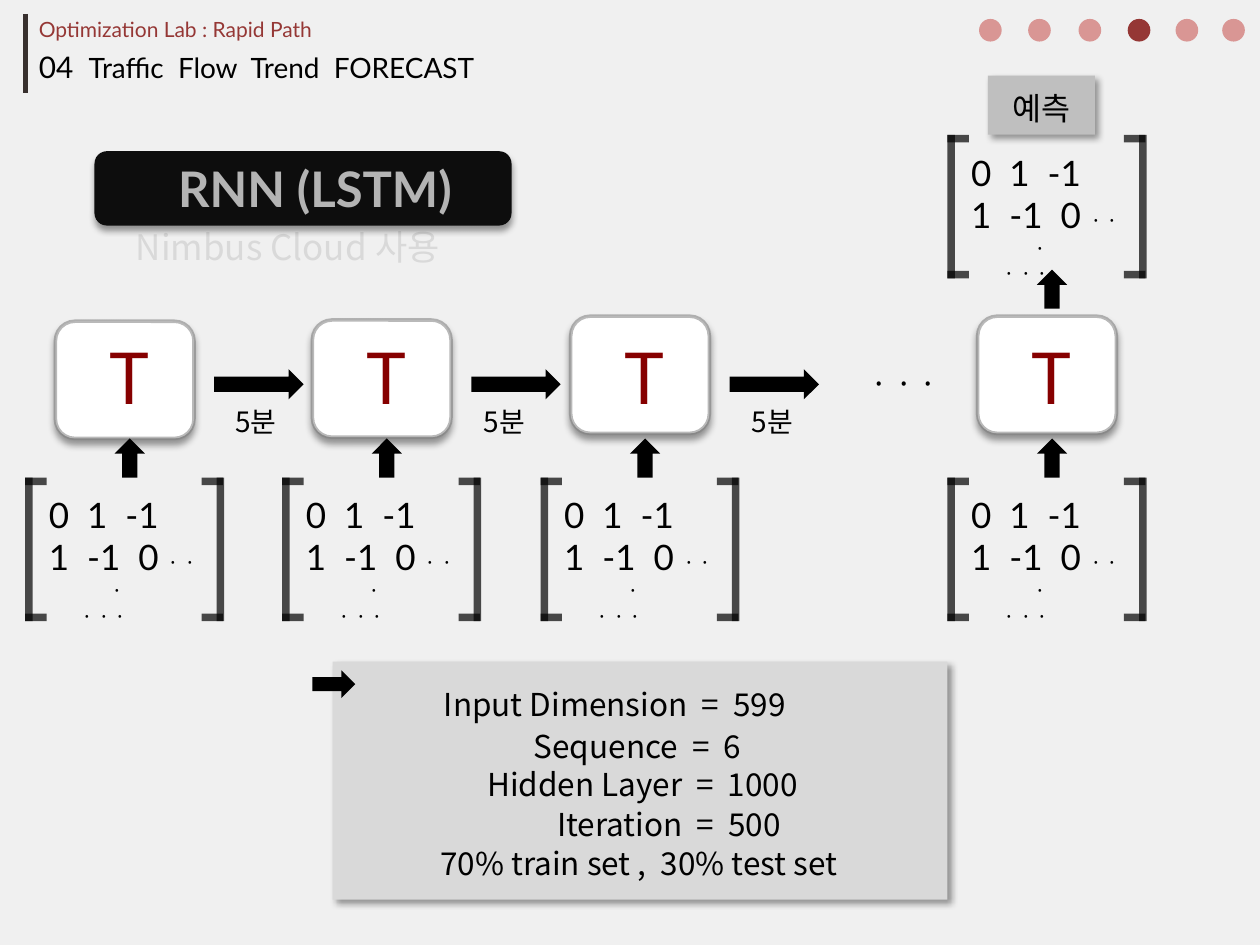
import pptx
import pptx.dml.color
import pptx.enum.shapes
import pptx.enum.text
import pptx.oxml.ns
import pptx.util
from lxml import etree

Inches = pptx.util.Inches
Pt = pptx.util.Pt
SHAPE = pptx.enum.shapes.MSO_SHAPE
CENTER = pptx.enum.text.PP_ALIGN.CENTER
qn = pptx.oxml.ns.qn

COLORS = {
    "background": "F0F0F0",
    "black": "000000",
    "white": "FFFFFF",
    "rule": "38302E",
    "crimson": "953735",
    "rose": "D99694",
    "cell_text": "860000",
    "cell_edge": "808080",
    "panel": "D9D9D9",
    "label": "BFBFBF",
    "banner": "0D0D0D",
    "banner_text": "B4B4B4",
}
LATIN = "Lato"
KOREAN = "Noto Sans CJK KR"


def rgb(name):
    return pptx.dml.color.RGBColor.from_string(COLORS[name])


def add_run(paragraph, text, size=18, font=KOREAN, color="black", bold=False):
    run = paragraph.add_run()
    run.text = text
    run.font.size = Pt(size)
    run.font.name = font
    run.font.bold = bold
    run.font.color.rgb = rgb(color)
    etree.SubElement(run.font._element, qn("a:ea"), typeface=font)
    return run


def set_alpha(fill_parent, percent):
    color = fill_parent.find(qn("a:solidFill")).find(qn("a:srgbClr"))
    etree.SubElement(color, qn("a:alpha"), val=str(percent * 1000))


class SlideBuilder:
    def __init__(self, slide):
        self.slide = slide
        fill = slide.background.fill
        fill.solid()
        fill.fore_color.rgb = rgb("background")

    def shape(self, kind, left, top, width, height, color,
              alpha=None, edge=None, shadow_angle=None):
        box = [Inches(v) for v in (left, top, width, height)]
        shape = self.slide.shapes.add_shape(kind, *box)
        shape.fill.solid()
        shape.fill.fore_color.rgb = rgb(color)
        properties = shape._element.spPr
        if alpha:
            set_alpha(properties, alpha)
        if edge:
            shape.line.color.rgb = rgb(edge)
            shape.line.width = Pt(2)
            set_alpha(properties.find(qn("a:ln")), 54)
        else:
            shape.line.fill.background()
        shape.shadow.inherit = False
        if shadow_angle:
            shadow = etree.SubElement(
                properties.find(qn("a:effectLst")), qn("a:outerShdw"),
                blurRad=str(Pt(4)), dist=str(Pt(3)),
                dir=str(shadow_angle * 60000), algn="ctr", rotWithShape="0")
            tint = etree.SubElement(shadow, qn("a:srgbClr"), val=COLORS["black"])
            etree.SubElement(tint, qn("a:alpha"), val="40000")
        return shape

    def rule(self, x, top, bottom):
        line = self.slide.shapes.add_connector(
            pptx.enum.shapes.MSO_CONNECTOR.STRAIGHT,
            Inches(x), Inches(top), Inches(x), Inches(bottom))
        line.line.color.rgb = rgb("rule")
        line.line.width = Pt(3)
        etree.SubElement(line._element.spPr, qn("a:effectLst"))

    def text_frame(self, left, top, width, height):
        box = [Inches(v) for v in (left, top, width, height)]
        frame = self.slide.shapes.add_textbox(*box).text_frame
        frame.word_wrap = True
        frame.auto_size = pptx.enum.text.MSO_AUTO_SIZE.SHAPE_TO_FIT_TEXT
        return frame

    def text(self, left, top, width, height, words, align=None, **style):
        paragraph = self.text_frame(left, top, width, height).paragraphs[0]
        paragraph.alignment = align
        add_run(paragraph, words, **style)
        return paragraph

    def matrix(self, left, top):
        for bar in (0, 1.52):
            self.shape(SHAPE.RECTANGLE, left + bar, top, 0.06, 1.14, "black", alpha=70)
        for dx in (0, 1.4):
            for dy in (0, 1.08):
                self.shape(SHAPE.RECTANGLE, left + dx, top + dy, 0.17, 0.06,
                           "black", alpha=70)
        frame = self.text_frame(left + 0.09, top + 0.08, 1.4, 0.98)
        add_run(frame.paragraphs[0], "0  1  -1", size=20, font=LATIN)
        second_row, last_row = frame.add_paragraph(), frame.add_paragraph()
        for row, indent in ((second_row, -0.5), (last_row, -0.24)):
            properties = row._p.get_or_add_pPr()
            properties.set("marL", str(Inches(0.5)))
            properties.set("indent", str(Inches(indent)))
        add_run(second_row, "1  -1  0 ", size=20, font=LATIN)
        for row in (second_row, last_row):
            add_run(row, "· · ·", size=12)

    def cell(self, left, top):
        self.shape(SHAPE.ROUNDED_RECTANGLE, left, top, 1.1, 0.93, "white",
                   edge="cell_edge", shadow_angle=90)
        self.text(left + 0.32, 2.61, 0.47, 0.77, "T", size=40, color="cell_text")

    def up_arrow(self, left, top):
        self.shape(SHAPE.UP_ARROW, left, top, 0.24, 0.31, "black")


def build_header(page):
    page.rule(0.2, 0.11, 0.74)
    page.text(0.21, 0.08, 6.54, 0.3, "Optimization Lab : Rapid Path",
              size=12, font=LATIN, color="crimson")
    title = page.text(0.21, 0.34, 6.54, 0.39, "04  ", size=17, font=LATIN)
    add_run(title, "Traffic  Flow  Trend  FORECAST", size=16, font=LATIN)
    for number, left in enumerate((7.77, 8.16, 8.56, 8.95, 9.33, 9.7), 1):
        page.shape(SHAPE.OVAL, left, 0.15, 0.18, 0.18,
                   "crimson" if number == 4 else "rose")
    page.text(0.98, 1.74, 5.04, 0.44, "Nimbus Cloud 사용", size=20, color="panel")
    page.shape(SHAPE.ROUNDED_RECTANGLE, 0.75, 1.2, 3.31, 0.59, "banner", shadow_angle=90)
    page.text(1.05, 1.21, 2.9, 0.57, "RNN (LSTM)", align=CENTER,
              size=28, font=LATIN, color="banner_text", bold=True)


def build_network(page):
    columns = (0.2, 2.24, 4.29, 7.52)
    for left, cell_top in zip(columns, (2.55, 2.54, 2.51, 2.51)):
        page.cell(left + 0.24, cell_top)
        page.matrix(left, 3.79)
        page.up_arrow(left + 0.71, 3.48)
    for left, minutes_left in zip(columns, (1.77, 3.74, 5.87)):
        page.shape(SHAPE.RIGHT_ARROW, left + 1.5, 2.93, 0.71, 0.24, "black")
        page.text(minutes_left, 3.16, 0.63, 0.37, "5분", size=16)
    page.text(6.81, 2.84, 1.26, 0.4, "· · ·")

    forecast_left = columns[-1]
    page.shape(SHAPE.RECTANGLE, 7.84, 0.6, 0.85, 0.47, "label", shadow_angle=45)
    page.text(7.83, 0.66, 0.87, 0.4, "예측", align=CENTER)
    page.up_arrow(forecast_left + 0.71, 2.14)
    page.matrix(forecast_left, 1.07)


def build_settings(page):
    page.shape(SHAPE.RECTANGLE, 2.64, 5.25, 4.88, 1.89, "panel", shadow_angle=45)
    page.shape(SHAPE.RIGHT_ARROW, 2.48, 5.32, 0.34, 0.22, "black")
    settings = (
        (2.84, 5.39, 4.08, "Input Dimension  =  599"),
        (2.98, 5.72, 4.16, "Sequence  =  6"),
        (3.06, 6.02, 4.08, "Hidden Layer  =  1000"),
        (3.31, 6.34, 4, "Iteration  =  500"),
        (2.99, 6.65, 4.16, "70% train set ,  30% test set"),
    )
    for left, top, width, words in settings:
        page.text(left, top, width, 0.4, words, align=CENTER)


def main():
    deck = pptx.Presentation()
    deck.slide_width = Inches(10)
    deck.slide_height = Inches(7.5)
    page = SlideBuilder(deck.slides.add_slide(deck.slide_layouts[6]))
    build_header(page)
    build_network(page)
    build_settings(page)
    deck.save("out.pptx")


if __name__ == "__main__":
    main()
